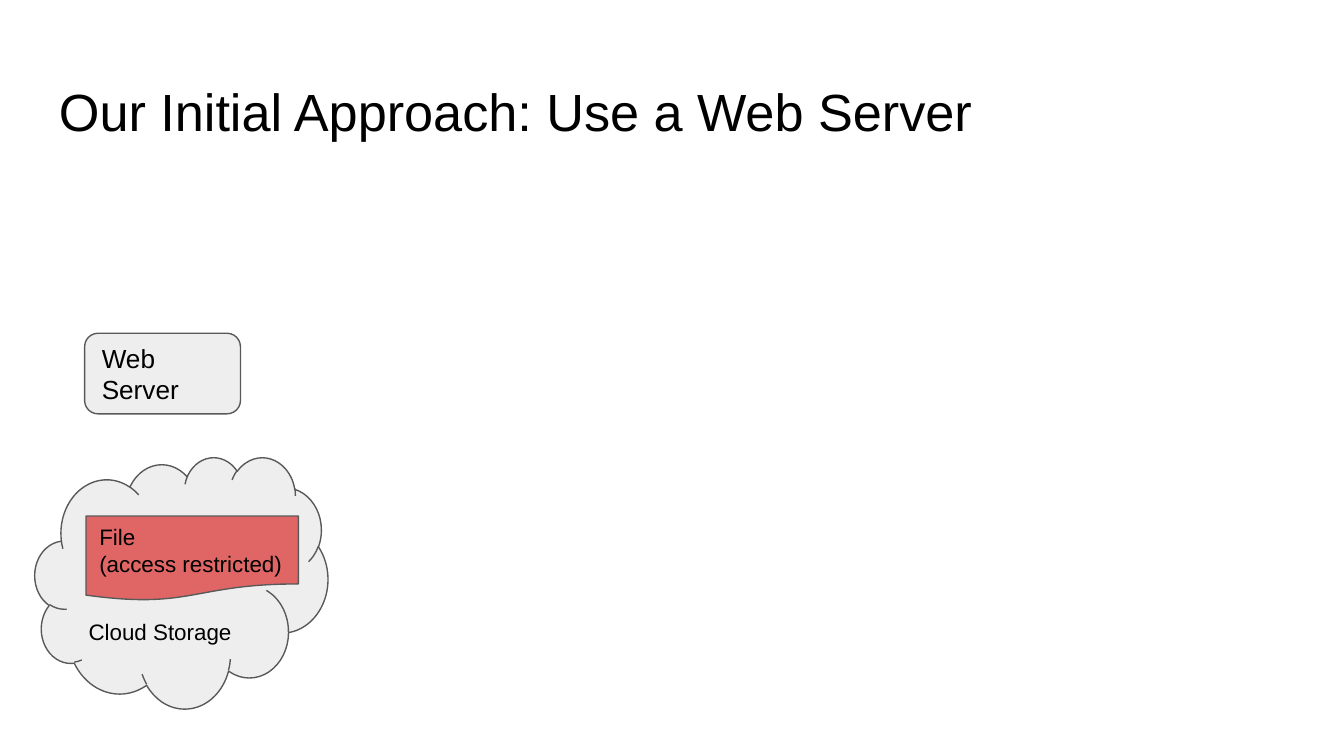
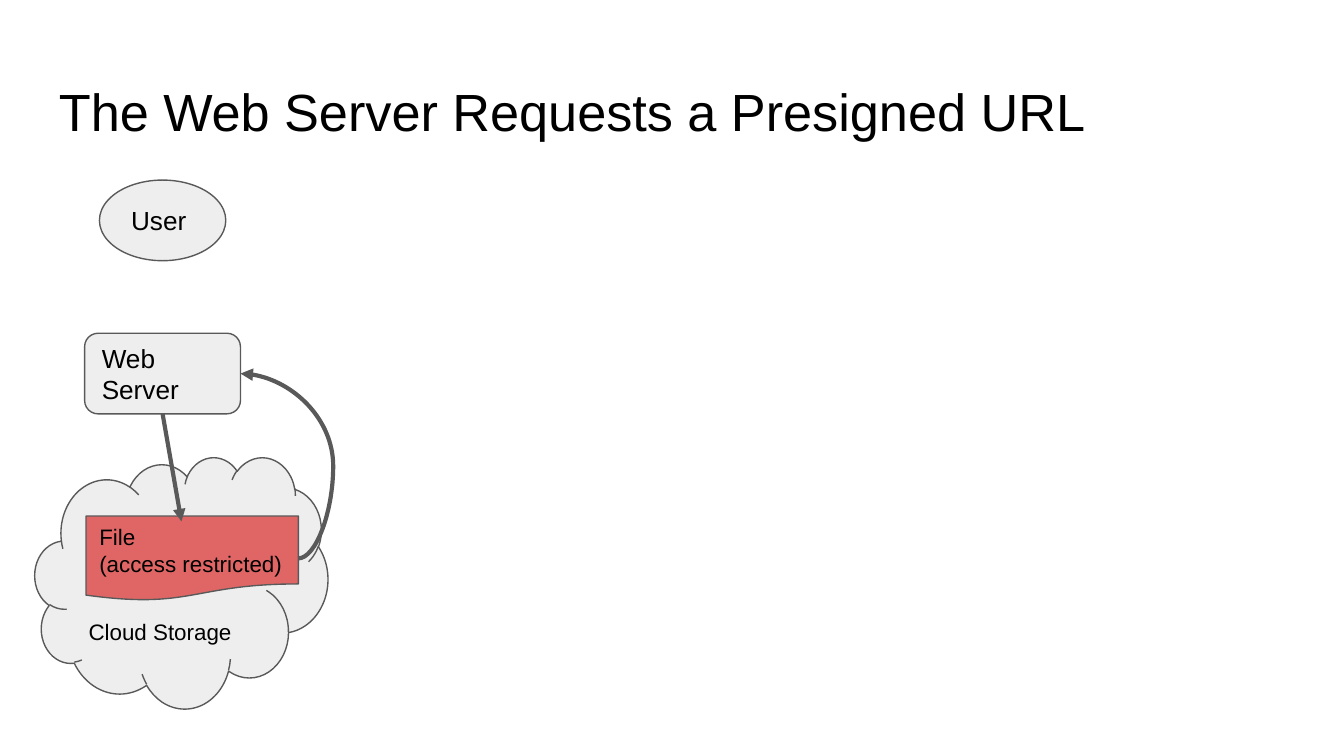
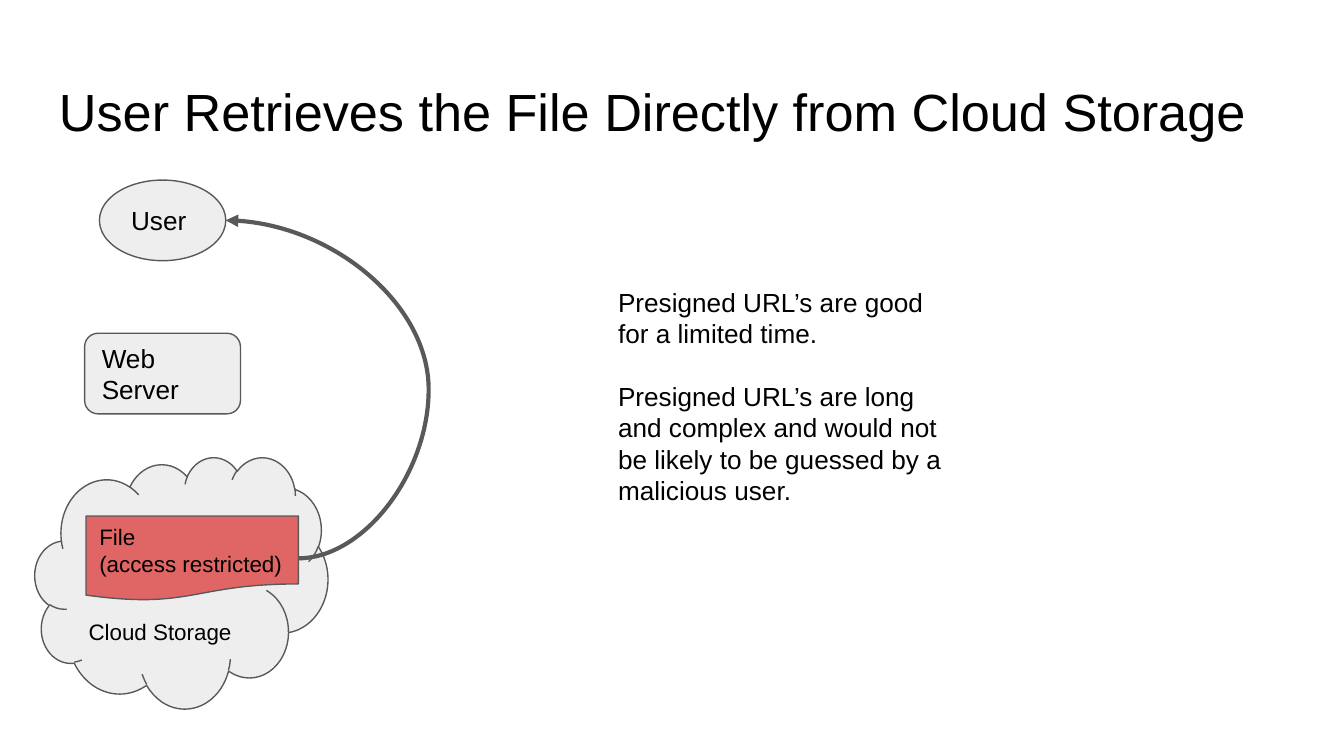
import pptx
import pptx.dml.color
import pptx.enum.shapes
import pptx.enum.text
import pptx.oxml
import pptx.oxml.ns
import pptx.util

RGBColor = pptx.dml.color.RGBColor
SHAPE = pptx.enum.shapes.MSO_SHAPE
CONNECTOR = pptx.enum.shapes.MSO_CONNECTOR
ANCHOR = pptx.enum.text.MSO_ANCHOR
ALIGN = pptx.enum.text.PP_ALIGN
Inches = pptx.util.Inches
Pt = pptx.util.Pt

BLACK = RGBColor(0x00, 0x00, 0x00)
LINE_GRAY = RGBColor(0x59, 0x59, 0x59)
FILL_GRAY = RGBColor(0xEE, 0xEE, 0xEE)
FILE_RED = RGBColor(0xE0, 0x66, 0x66)
FONT = "Arial"

TITLE_BOX = (0.34, 0.49, 9.32, 0.63)
NOTE_BOX = (4.5, 2.03, 2.69, 1.92)

# Diagram parts: preset, box, fill, anchor, text size, paragraphs
PARTS = {
    "storage": (SHAPE.CLOUD, (0.26, 3.4, 2.18, 1.87), FILL_GRAY, ANCHOR.BOTTOM, 12,
                ["Cloud Storage"]),
    "file": (SHAPE.FLOWCHART_DOCUMENT, (0.64, 3.84, 1.58, 0.63), FILE_RED, ANCHOR.MIDDLE, 12,
             ["File", "(access restricted)"]),
    "user": (SHAPE.OVAL, (0.74, 1.34, 0.94, 0.6), FILL_GRAY, ANCHOR.MIDDLE, 14, ["User"]),
    "server": (SHAPE.ROUNDED_RECTANGLE, (0.63, 2.48, 1.16, 0.6), FILL_GRAY, ANCHOR.MIDDLE, 14,
               ["Web Server"]),
}
REQUEST_END = (1.35, 3.88)

# Each return arrow runs from the file to a part, bulging out to a given x
SLIDES = [
    {"title": "Our Initial Approach: Use a Web Server",
     "parts": ["storage", "file", "server"]},
    {"title": "The Web Server Requests a Presigned URL",
     "parts": ["storage", "file", "user", "server"],
     "request": True, "return": ("server", 2.48)},
    {"title": "User Retrieves the File Directly from Cloud Storage",
     "parts": ["storage", "file", "user", "server"],
     "return": ("user", 3.19),
     "notes": ["Presigned URL’s are good for a limited time.",
               "Presigned URL’s are long and complex and would not be likely to be "
               "guessed by a malicious user."]},
]


def write_text(shape, paragraphs, size, anchor=ANCHOR.TOP, gap=0):
    frame = shape.text_frame
    frame.word_wrap = True
    frame.vertical_anchor = anchor
    frame.margin_left = frame.margin_right = Inches(0.1)
    frame.margin_top = frame.margin_bottom = Inches(0.1)
    frame.text = "\n".join(paragraphs)
    for index, paragraph in enumerate(frame.paragraphs):
        paragraph.alignment = ALIGN.LEFT
        paragraph.font.name = FONT
        paragraph.font.size = Pt(size)
        paragraph.font.color.rgb = BLACK
        if index and gap:
            paragraph.space_before = Pt(gap)


def add_text(slide, box, paragraphs, size, gap=0):
    write_text(slide.shapes.add_textbox(*map(Inches, box)), paragraphs, size, gap=gap)


def add_part(slide, name):
    preset, box, fill, anchor, size, paragraphs = PARTS[name]
    shape = slide.shapes.add_shape(preset, *map(Inches, box))
    shape.shadow.inherit = False
    shape.fill.solid()
    shape.fill.fore_color.rgb = fill
    shape.line.color.rgb = LINE_GRAY
    shape.line.width = Pt(0.75)
    write_text(shape, paragraphs, size, anchor)


def add_arrow(slide, kind, start, end, bulge=None):
    arrow = slide.shapes.add_connector(kind, *map(Inches, start + end))
    arrow.line.color.rgb = LINE_GRAY
    arrow.line.width = Pt(2.25)
    properties = arrow._element.spPr
    head = pptx.oxml.ns.qn("a:tailEnd")
    arrow.line._get_or_add_ln().append(
        properties.makeelement(head, {"type": "triangle", "w": "med", "len": "med"}))
    properties.append(properties.makeelement(pptx.oxml.ns.qn("a:effectLst"), {}))
    if bulge is not None:
        share = (bulge - start[0]) / (end[0] - start[0])
        guides = properties.find(pptx.oxml.ns.qn("a:prstGeom")).get_or_add_avLst()
        guides.append(guides.makeelement(
            pptx.oxml.ns.qn("a:gd"), {"name": "adj1", "fmla": f"val {round(share * 100000)}"}))


def right_middle(name):
    left, top, width, height = PARTS[name][1]
    return (left + width, top + height / 2)


def bottom_middle(name):
    left, top, width, height = PARTS[name][1]
    return (left + width / 2, top + height)


def main():
    presentation = pptx.Presentation()
    presentation.slide_width = Inches(10)
    presentation.slide_height = Inches(5.625)
    for content in SLIDES:
        slide = presentation.slides.add_slide(presentation.slide_layouts[6])
        add_text(slide, TITLE_BOX, [content["title"]], 28)
        for name in content["parts"]:
            add_part(slide, name)
        if content.get("request"):
            add_arrow(slide, CONNECTOR.STRAIGHT, bottom_middle("server"), REQUEST_END)
        if "return" in content:
            target, bulge = content["return"]
            add_arrow(slide, CONNECTOR.CURVE, right_middle("file"), right_middle(target), bulge)
        if "notes" in content:
            add_text(slide, NOTE_BOX, content["notes"], 14, gap=16.8)
    presentation.save("out.pptx")


if __name__ == "__main__":
    main()
